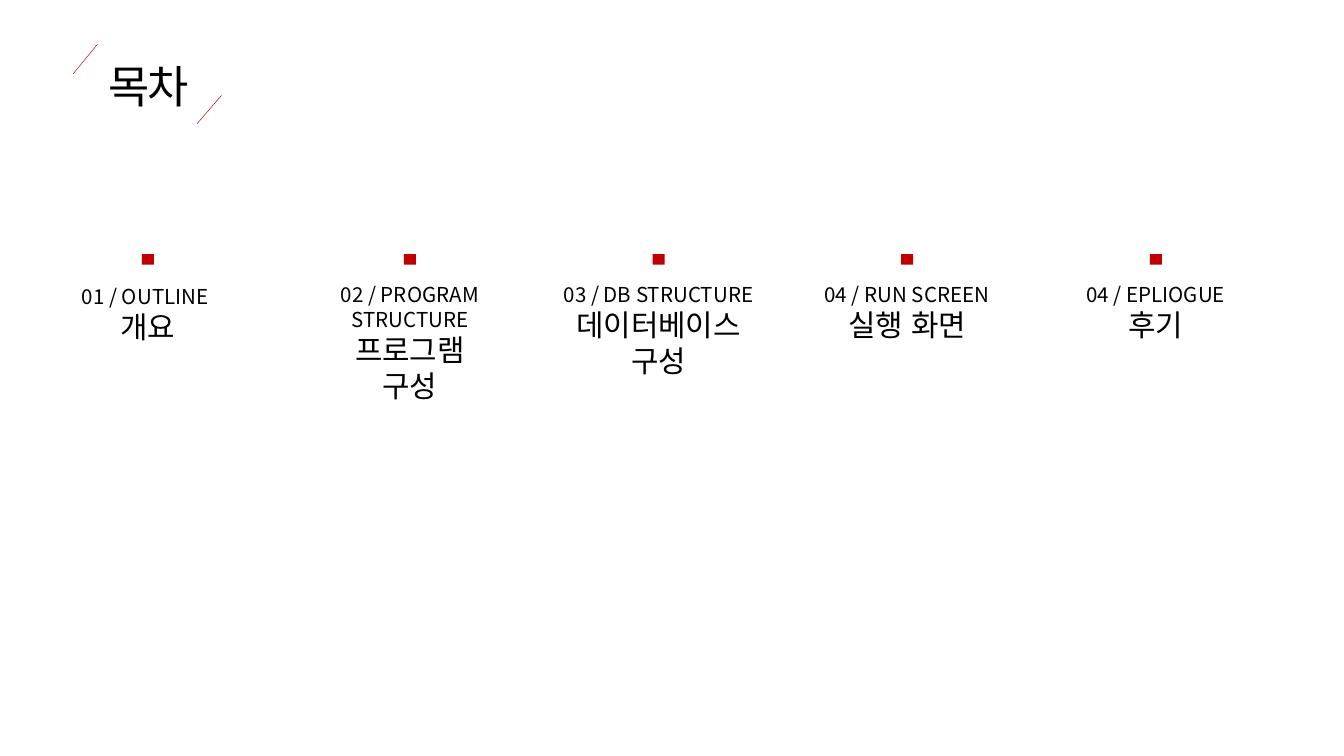
from lxml.etree import SubElement
from pptx import Presentation
from pptx.dml.color import RGBColor
from pptx.enum.lang import MSO_LANGUAGE_ID as Language
from pptx.enum.shapes import MSO_CONNECTOR as Connector, MSO_SHAPE as Shape
from pptx.enum.text import MSO_ANCHOR as Anchor, MSO_AUTO_SIZE as AutoSize, PP_ALIGN as Align
from pptx.oxml.ns import qn
from pptx.util import Inches, Pt

WIDTH = 10
HEIGHT = WIDTH * 9 / 16
FONT = "Noto Sans CJK KR"
RED, BLACK = "C00000", "000000"
FIRST_CENTER, SECOND_CENTER, PITCH = 1.1, 3.05, 1.85
TOP, MARKER_WIDTH, MARKER_HEIGHT, TEXT_OFFSET = 1.89, 0.09, 0.08, 0.16
ENTRIES = [
    (1.54, 0.57, [[("01 / OUTLINE", 11), (" ", 12)], [("개요", 16)]]),
    (1.61, 1.38, [[("02 / PROGRAM STRUCTURE", 11)], [("프로그램", 16)], [("구성", 16)]]),
    (1.69, 1.01, [[("03 / DB STRUCTURE", 11)], [("데이터베이스 구성", 16)]]),
    (1.61, 1.01, [[("04 / RUN SCREEN", 11)], [("실행 화면", 16)]]),
    (1.61, 1.01, [[("04 / EPLIOGUE", 11)], [("후기", 16)]]),
]


def color(value):
    """Turn a hex string into a colour."""
    return RGBColor.from_string(value)


def set_attributes(target, values):
    """Set every named value on the target."""
    for name, value in values.items():
        setattr(target, name, value)


def place(shape, box):
    """Move a shape to a box of left, top, width and height in inches."""
    set_attributes(shape, dict(zip(("left", "top", "width", "height"), map(Inches, box))))


def write(frame, paragraphs, spacing=None):
    """Fill a text frame with centred paragraphs of (text, size) runs."""
    set_attributes(frame, {"word_wrap": True, "vertical_anchor": Anchor.TOP,
                           "auto_size": AutoSize.SHAPE_TO_FIT_TEXT})
    for index, runs in enumerate(paragraphs):
        paragraph = frame.add_paragraph() if index else frame.paragraphs[0]
        paragraph.alignment = Align.CENTER
        for text, size in runs:
            run = paragraph.add_run()
            run.text = text
            set_attributes(run.font, {"name": FONT, "size": Pt(size),
                                      "language_id": Language.KOREAN})
            run.font.color.rgb = color(BLACK)
            properties = run._r.get_or_add_rPr()
            SubElement(properties, qn("a:ea"), typeface=FONT)
            if spacing:
                properties.set("spc", str(round(spacing * 100)))


def add_slash(slide, start, end):
    """Draw a thin red slash between two points."""
    line = slide.shapes.add_connector(Connector.STRAIGHT, *map(Inches, start + end))
    line.line.color.rgb = color(RED)
    line.line.width = Pt(0.25)
    SubElement(line._element.spPr, qn("a:effectLst"))


def add_heading(slide, box):
    """Place the title with a slash at two opposite corners."""
    left, top, width, height = box
    title = slide.shapes.title
    place(title, box)
    write(title.text_frame, [[("목차", 24)]], spacing=-1.5)
    bottom = top + height
    add_slash(slide, (left + 0.8 * width, bottom - 0.18), (left + 0.7 * width, bottom + 0.03))
    add_slash(slide, (left + 0.29 * width, top - 0.06), (left + 0.19 * width, top + 0.16))


def add_entry(slide, box, paragraphs):
    """Place one contents entry: a square marker above centred text."""
    left, top, width, height = box
    text_box = slide.shapes.add_textbox(0, 0, 0, 0)
    place(text_box, (left, top + TEXT_OFFSET, width, height))
    write(text_box.text_frame, paragraphs)
    marker = slide.shapes.add_shape(Shape.RECTANGLE, 0, 0, 0, 0)
    place(marker, (left + (width - MARKER_WIDTH) / 2, top, MARKER_WIDTH, MARKER_HEIGHT))
    marker.shadow.inherit = False
    marker.fill.solid()
    marker.fill.fore_color.rgb = color(RED)
    marker.line.fill.background()


def main():
    """Build the contents slide and save it."""
    presentation = Presentation()
    set_attributes(presentation, {"slide_width": Inches(WIDTH), "slide_height": Inches(HEIGHT)})
    slide = presentation.slides.add_slide(presentation.slide_layouts.get_by_name("Title Only"))
    add_heading(slide, (0.2, 0.39, 1.81, 0.5))
    centers = [FIRST_CENTER] + [SECOND_CENTER + PITCH * step for step in range(len(ENTRIES) - 1)]
    for center, (width, height, paragraphs) in zip(centers, ENTRIES):
        add_entry(slide, (center - width / 2, TOP, width, height), paragraphs)
    presentation.save("out.pptx")


if __name__ == "__main__":
    main()
